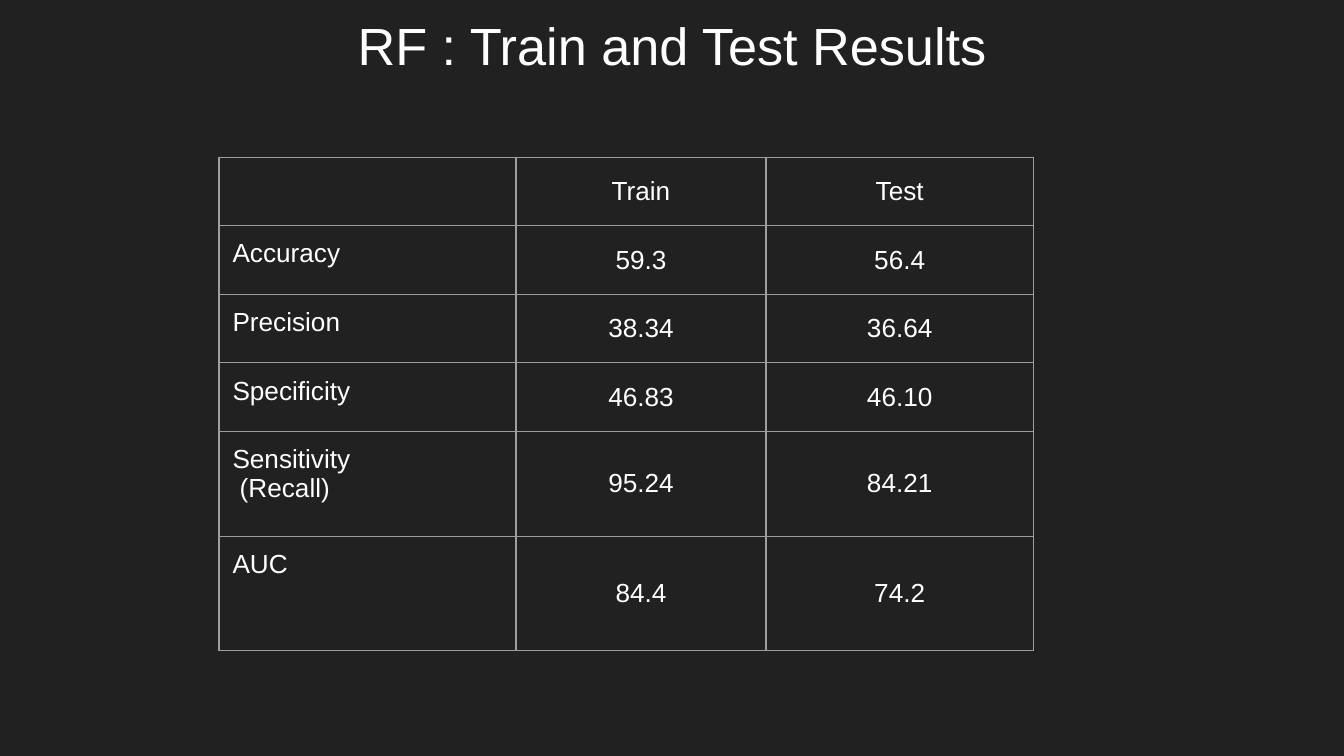
from dataclasses import dataclass

import pptx
import pptx.dml.color
import pptx.enum.text
import pptx.oxml
import pptx.oxml.ns
import pptx.util

Inches = pptx.util.Inches
Align = pptx.enum.text.PP_ALIGN
Anchor = pptx.enum.text.MSO_ANCHOR

COLORS = {"background": "212121", "text": "FFFFFF", "border": "9E9E9E"}
SLIDE_WIDTH = 10
SLIDE_HEIGHT = SLIDE_WIDTH * 9 / 16
TABLE_LEFT, TABLE_TOP = 1.63, 1.17
COLUMN_WIDTHS = (2.21, 1.86, 1.99)
INSET = Inches(0.1)
INSETS = {f"margin_{side}": INSET for side in ("left", "top", "right", "bottom")}


@dataclass
class ResultRow:
    metric: str
    train: str
    test: str
    height: float = 0.51


RESULTS = [
    ResultRow("", "Train", "Test"),
    ResultRow("Accuracy", "59.3", "56.4"),
    ResultRow("Precision", "38.34", "36.64"),
    ResultRow("Specificity", "46.83", "46.10"),
    ResultRow("Sensitivity\n (Recall)", "95.24", "84.21", 0.78),
    ResultRow("AUC", "84.4", "74.2", 0.85),
]


def rgb(name: str) -> pptx.dml.color.RGBColor:
    return pptx.dml.color.RGBColor.from_string(COLORS[name])


def set_all(target, values: dict) -> None:
    for name, value in values.items():
        setattr(target, name, value)


def write(frame, text: str, size: float, align: Align) -> None:
    frame.text = text
    for paragraph in frame.paragraphs:
        paragraph.alignment = align
        set_all(paragraph.font, {"size": pptx.util.Pt(size), "name": "Arial"})
        for run in paragraph.runs:
            set_all(run.font, {"size": pptx.util.Pt(size), "name": "Arial"})
            run.font.color.rgb = rgb("text")


def add_borders(cell) -> None:
    properties = cell._tc.get_or_add_tcPr()
    for position, side in enumerate("LRTB"):
        properties.insert(position, pptx.oxml.parse_xml(
            f'<a:ln{side} {pptx.oxml.ns.nsdecls("a")} w="{pptx.util.Pt(0.75)}">'
            f'<a:solidFill><a:srgbClr val="{COLORS["border"]}"/></a:solidFill>'
            f'</a:ln{side}>'))


def fill_cell(cell, text: str, is_metric: bool) -> None:
    set_all(cell, INSETS)
    cell.vertical_anchor = Anchor.TOP if is_metric else Anchor.MIDDLE
    write(cell.text_frame, text, 14, Align.LEFT if is_metric else Align.CENTER)
    cell.fill.background()
    add_borders(cell)


# Slide and background
deck = pptx.Presentation()
set_all(deck, {"slide_width": Inches(SLIDE_WIDTH), "slide_height": Inches(SLIDE_HEIGHT)})
slide = deck.slides.add_slide(deck.slide_layouts[6])
slide.background.fill.solid()
slide.background.fill.fore_color.rgb = rgb("background")

# Title
title = slide.shapes.add_textbox(0, 0, deck.slide_width, Inches(0.63)).text_frame
set_all(title, INSETS | {"word_wrap": True, "vertical_anchor": Anchor.TOP})
write(title, "RF : Train and Test Results", 28, Align.CENTER)

# Results table
results = slide.shapes.add_table(
    len(RESULTS), len(COLUMN_WIDTHS), Inches(TABLE_LEFT), Inches(TABLE_TOP),
    Inches(sum(COLUMN_WIDTHS)), Inches(sum(row.height for row in RESULTS))).table
set_all(results, {"first_row": False, "horz_banding": False})
for column, width in zip(results.columns, COLUMN_WIDTHS):
    column.width = Inches(width)
for row_index, result in enumerate(RESULTS):
    results.rows[row_index].height = Inches(result.height)
    for column_index, text in enumerate((result.metric, result.train, result.test)):
        fill_cell(results.cell(row_index, column_index), text, column_index == 0)

deck.save("out.pptx")
